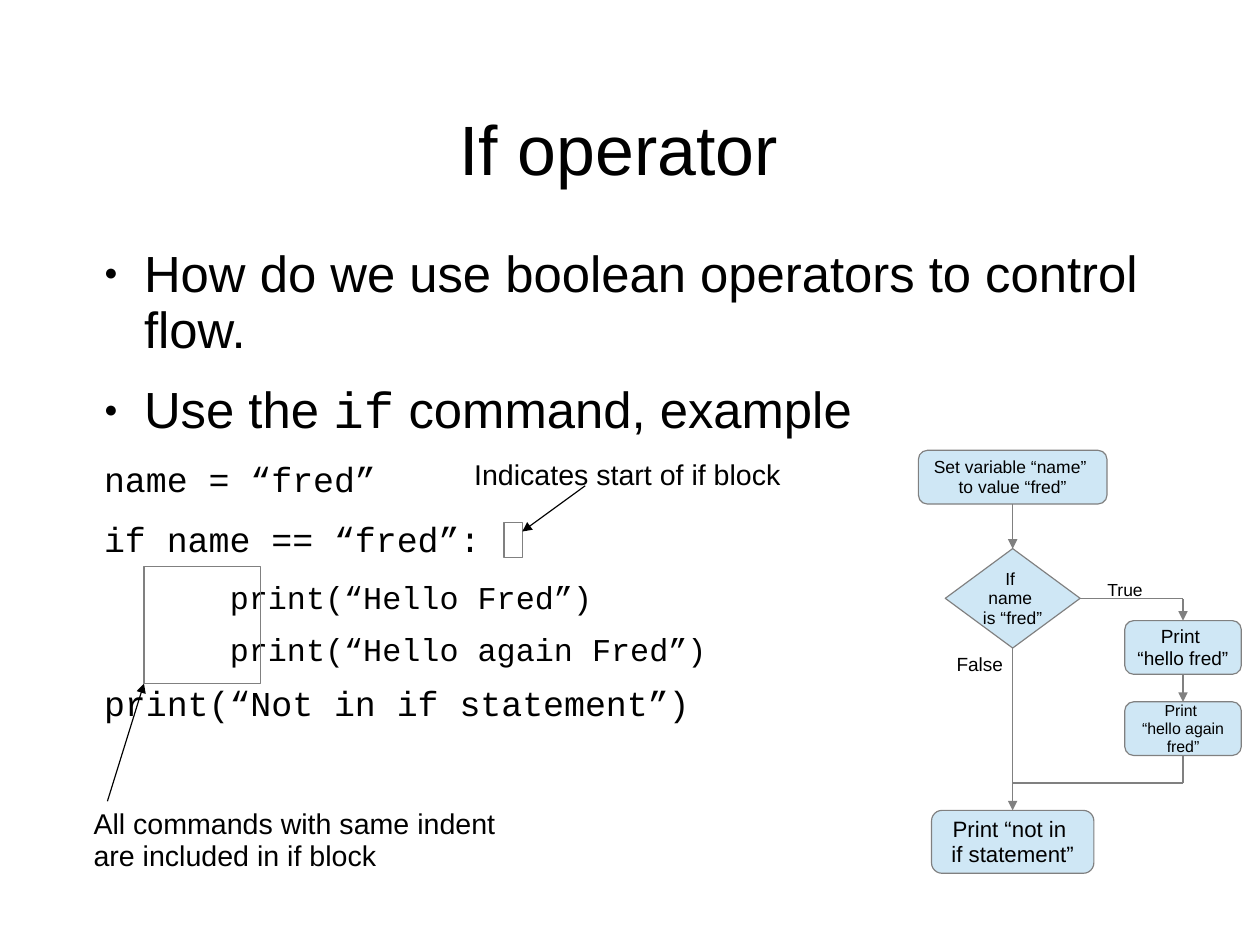
from dataclasses import dataclass

from lxml import etree
from pptx import Presentation
from pptx.dml.color import RGBColor
from pptx.enum.shapes import MSO_CONNECTOR, MSO_SHAPE
from pptx.enum.text import MSO_ANCHOR, PP_ALIGN
from pptx.oxml.ns import qn
from pptx.util import Inches, Pt

LEFT, CENTER = PP_ALIGN.LEFT, PP_ALIGN.CENTER
TOP, MIDDLE = MSO_ANCHOR.TOP, MSO_ANCHOR.MIDDLE
RECTANGLE, ROUNDED, DIAMOND = MSO_SHAPE.RECTANGLE, MSO_SHAPE.ROUNDED_RECTANGLE, MSO_SHAPE.DIAMOND
STRAIGHT = MSO_CONNECTOR.STRAIGHT
CM_PER_INCH = 2.54


@dataclass(frozen=True)
class Theme:
    ink: RGBColor = RGBColor(0x00, 0x00, 0x00)
    outline: RGBColor = RGBColor(0x80, 0x80, 0x80)
    node: RGBColor = RGBColor(0xCF, 0xE7, 0xF5)
    sans: str = "Arial"
    mono: str = "Courier New"
    title: int = 44
    bullet: int = 32
    code: int = 22
    nested_code: int = 20
    note: int = 18
    node_large: int = 14
    node_medium: int = 12
    node_small: int = 11
    node_tiny: int = 10
    line: float = 0.75


THEME = Theme()


def write_lines(shape, lines, size, insets, align=LEFT, anchor=TOP):
    """Fill a shape with unwrapped lines, one paragraph each."""
    frame = shape.text_frame
    frame.word_wrap = False
    frame.vertical_anchor = anchor
    frame.margin_left, frame.margin_top, frame.margin_right, frame.margin_bottom = map(Inches, insets)
    frame.text = "\n".join(lines)
    for paragraph in frame.paragraphs:
        paragraph.alignment = align
        paragraph.line_spacing = 0.93
        for run in paragraph.runs:
            run.font.name = THEME.sans
            run.font.size = Pt(size)
            run.font.color.rgb = THEME.ink


def draw_route(points, color, arrow=True):
    """Join points with straight connectors; the last one may carry an arrowhead."""
    for start, end in zip(points, points[1:]):
        connector = slide.shapes.add_connector(STRAIGHT, *map(Inches, start + end))
        connector.line.color.rgb = color
        connector.line.width = Pt(THEME.line)
        properties = connector.element.spPr
        if arrow and end == points[-1]:
            etree.SubElement(properties.find(qn("a:ln")), qn("a:tailEnd"), type="triangle")
        etree.SubElement(properties, qn("a:effectLst"))


# The page measures 28 by 21 centimetres
presentation = Presentation()
presentation.slide_width = Inches(28 / CM_PER_INCH)
presentation.slide_height = Inches(21 / CM_PER_INCH)
slide = presentation.slides.add_slide(presentation.slide_layouts[6])

# Title
title = slide.shapes.add_textbox(Inches(0.79), Inches(0.75), Inches(9.25), Inches(1.12))
write_lines(title, ["If operator"], THEME.title, (0, 0.04, 0, 0), CENTER, MIDDLE)

# Bullets and code: size, left margin, first-line indent, line spacing, space after
bullet_style = (THEME.bullet, 0.47, -0.35, 0.93, 14.3)
code_style = (THEME.code, 0.47, -0.35, 0.89, 14.3)
nested_style = (THEME.nested_code, 1.89, -0.67, 0.89, 11.4)
body_paragraphs = [
    ([("How do we use boolean operators to control flow.", THEME.sans)], bullet_style),
    ([("Use the ", THEME.sans), ("if", THEME.mono), (" command, example", THEME.sans)], bullet_style),
    ([("name = “fred”", THEME.mono)], code_style),
    ([("if name == “fred”:", THEME.mono)], code_style),
    ([("print(“Hello Fred”)", THEME.mono)], nested_style),
    ([("print(“Hello again Fred”)", THEME.mono)], nested_style),
    ([("print(“Not in if statement”)", THEME.mono)], code_style),
]
body = slide.shapes.add_textbox(Inches(0.79), Inches(2.13), Inches(9.68), Inches(4.21))
body_frame = body.text_frame
body_frame.word_wrap = True
body_frame.margin_left = body_frame.margin_right = body_frame.margin_bottom = 0
body_frame.margin_top = Inches(0.03)
for index, (runs, style) in enumerate(body_paragraphs):
    size, margin, indent, line_spacing, space_after = style
    paragraph = body_frame.add_paragraph() if index else body_frame.paragraphs[0]
    properties = paragraph._p.get_or_add_pPr()
    properties.set("marL", str(Inches(margin)))
    properties.set("indent", str(Inches(indent)))
    if style is bullet_style:
        etree.SubElement(properties, qn("a:buSzPct"), val="45000")
        etree.SubElement(properties, qn("a:buFont"), typeface=THEME.sans)
        etree.SubElement(properties, qn("a:buChar"), char="●")
    paragraph.line_spacing = line_spacing
    paragraph.space_after = Pt(space_after)
    for text, font_name in runs:
        run = paragraph.add_run()
        run.text = text
        run.font.name = font_name
        run.font.size = Pt(size)
        run.font.color.rgb = THEME.ink

# Frames around the start of the block and its indent
for box in [(4.41, 4.57, 0.16, 0.31), (1.26, 4.96, 1.02, 1.02)]:
    marker = slide.shapes.add_shape(RECTANGLE, *map(Inches, box))
    marker.shadow.inherit = False
    marker.fill.background()
    marker.line.color.rgb = THEME.outline
    marker.line.width = Pt(THEME.line)

# Flowchart nodes
main_x, branch_x = 8.86, 10.35
nodes = [
    (ROUNDED, main_x, 3.94, 1.65, 0.47, THEME.node_small, ["Set variable “name” ", "to value “fred”"]),
    (DIAMOND, main_x, 4.8, 1.18, 0.87, THEME.node_small, ["If ", "name ", "is “fred”"]),
    (ROUNDED, branch_x, 5.43, 1.02, 0.47, THEME.node_medium, ["Print ", "“hello fred”"]),
    (ROUNDED, branch_x, 6.14, 1.02, 0.47, THEME.node_tiny, ["Print ", "“hello again", "fred”"]),
    (ROUNDED, main_x, 7.09, 1.42, 0.55, THEME.node_large, ["Print “not in ", "if statement”"]),
]
for kind, center_x, top, width, height, size, lines in nodes:
    node = slide.shapes.add_shape(
        kind, Inches(center_x - width / 2), Inches(top), Inches(width), Inches(height))
    node.shadow.inherit = False
    node.fill.solid()
    node.fill.fore_color.rgb = THEME.node
    node.line.color.rgb = THEME.outline
    node.line.width = Pt(THEME.line)
    write_lines(node, lines, size, (0.1, 0.06, 0.1, 0.05), CENTER, MIDDLE)

# Flowchart links
draw_route([(main_x, 4.41), (main_x, 4.8)], THEME.outline)
draw_route([(9.45, 5.24), (branch_x, 5.24), (branch_x, 5.43)], THEME.outline)
draw_route([(branch_x, 5.9), (branch_x, 6.14)], THEME.outline)
draw_route([(main_x, 5.67), (main_x, 7.09)], THEME.outline)
draw_route([(branch_x, 6.61), (branch_x, 6.85), (main_x, 6.85)], THEME.outline, arrow=False)

# Notes on the code and branch labels
labels = [
    (4.05, 3.95, 2.88, 0.38, THEME.note, 0.07, ["Indicates start of if block"]),
    (0.72, 7.01, 3.77, 0.66, THEME.note, 0.07,
     ["All commands with same indent", "are included in if block"]),
    (9.59, 5.02, 0.52, 0.26, THEME.node_small, 0.06, ["True"]),
    (8.27, 5.67, 0.62, 0.28, THEME.node_medium, 0.06, ["False"]),
]
for left, top, width, height, size, inset_top, lines in labels:
    label = slide.shapes.add_textbox(Inches(left), Inches(top), Inches(width), Inches(height))
    write_lines(label, lines, size, (0.1, inset_top, 0.1, 0.05))

# Arrows from the notes to the frames
draw_route([(5.12, 4.25), (4.57, 4.65)], THEME.ink)
draw_route([(0.94, 7.01), (1.26, 5.98)], THEME.ink)

presentation.save("out.pptx")
